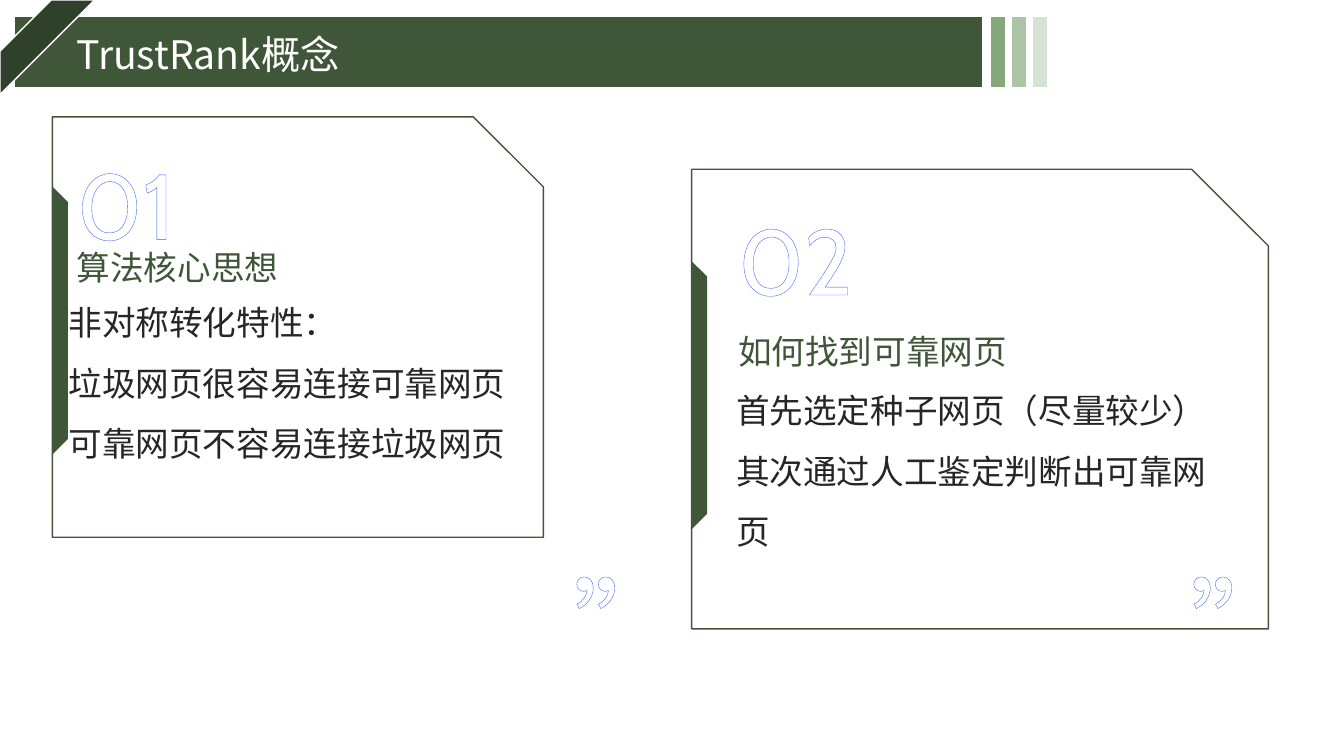
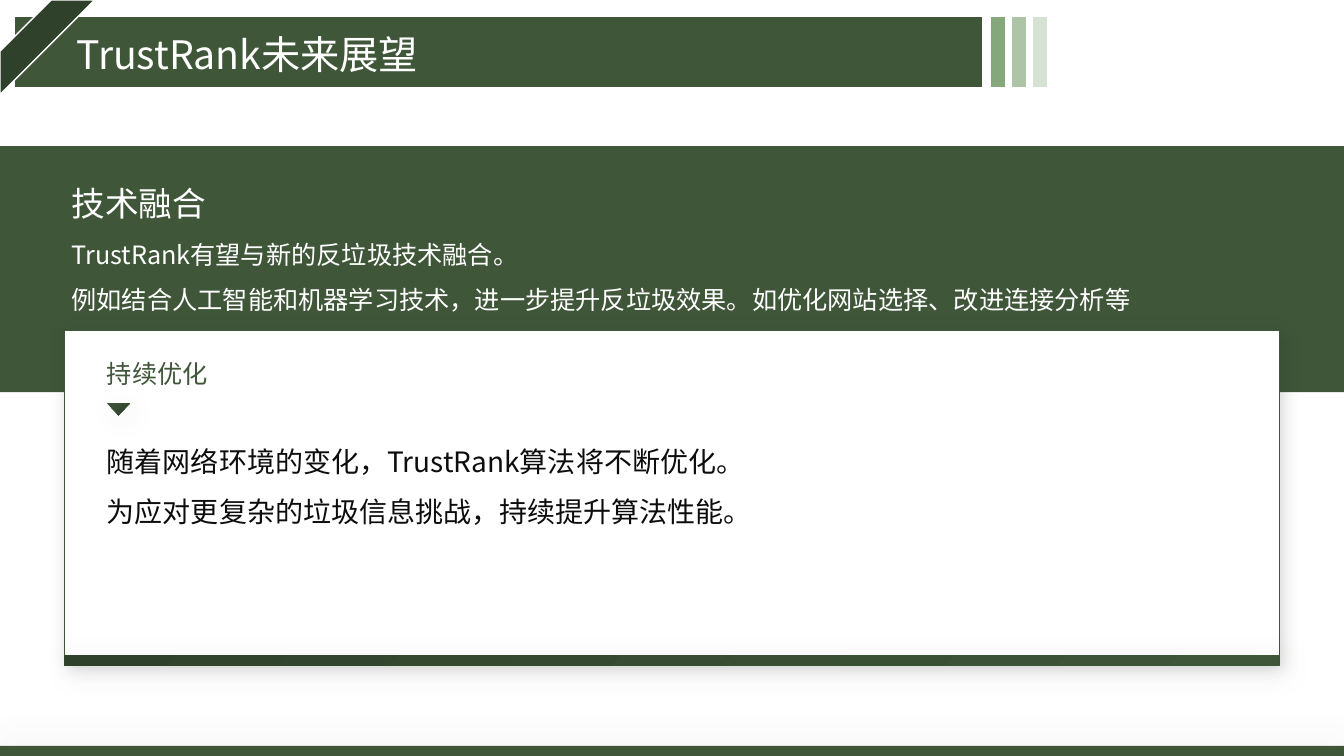
from dataclasses import dataclass

from lxml.etree import SubElement
from pptx import Presentation
from pptx.dml.color import RGBColor
from pptx.enum.shapes import MSO_SHAPE as Preset
from pptx.enum.text import MSO_ANCHOR as Anchor, PP_ALIGN as Align
from pptx.oxml.ns import qn
from pptx.util import Inches, Pt


@dataclass(frozen=True)
class Theme:
    font: str = "Noto Sans CJK SC"
    number_font: str = "Cabin"
    green: str = "3F5639"
    dark: str = "2F412B"
    tints: tuple = ("84A77B", "ADC4A7", "D6E2D3")
    white: str = "FFFFFF"
    ink: str = "262626"
    black: str = "0D0D0D"
    outline: str = "3860F4"
    title: int = 28
    heading: int = 24
    body: int = 20
    small: int = 18
    number: int = 66
    quote: int = 80


THEME = Theme()
PAGE_W, PAGE_H = 13.33, 7.5


@dataclass(frozen=True)
class Card:
    """Content of a card; offsets run from its top left corner."""
    box: tuple
    number: str
    heading: str
    lines: tuple
    text_x: float
    body_x: float
    body_w: float
    number_y: float
    heading_y: float
    body_y: float
    tab_y: float
    quote_at: tuple


CARDS = (
    Card((6.86, 1.68, 5.72, 4.56), "02", "如何找到可靠网页",
         ("首先选定种子网页（尽量较少）", "其次通过人工鉴定判断出可靠网页"),
         text_x=0.46, body_x=0.44, body_w=4.99, number_y=0.17, heading_y=1.26,
         body_y=1.99, tab_y=1.3, quote_at=(4.94, 3.47)),
    Card((0.52, 1.16, 4.87, 4.17), "01", "算法核心思想",
         ("非对称转化特性：", "垃圾网页很容易连接可靠网页", "可靠网页不容易连接垃圾网页"),
         text_x=0.24, body_x=0.16, body_w=4.71, number_y=0.14, heading_y=0.94,
         body_y=1.64, tab_y=1.08, quote_at=(5.16, 3.99)),
)


def rgb(color):
    return RGBColor.from_string(color)


def add_solid(page, preset, box, fill, line=None, weight=1):
    shape = page.shapes.add_shape(preset, *map(Inches, box))
    shape.shadow.inherit = False
    shape.fill.solid()
    shape.fill.fore_color.rgb = rgb(fill)
    if line:
        shape.line.color.rgb = rgb(line)
        shape.line.width = Pt(weight)
    else:
        shape.line.fill.background()
    return shape


def add_shadow(shape, color, alpha, blur, distance, angle):
    effects = shape._element.spPr.find(qn("a:effectLst"))
    shadow = SubElement(effects, qn("a:outerShdw"), blurRad=str(Pt(blur)),
                        dist=str(Pt(distance)), dir=str(angle * 60000),
                        algn="ctr", rotWithShape="0")
    tone = SubElement(shadow, qn("a:srgbClr"), val=color)
    SubElement(tone, qn("a:alpha"), val=str(alpha * 1000))


def add_gradient(page, preset, box):
    shape = add_solid(page, preset, box, THEME.green)
    shape.fill.gradient()
    shape.fill.gradient_angle = 135
    for stop, color in zip(shape.fill.gradient_stops, (THEME.green, THEME.dark)):
        stop.color.rgb = rgb(color)
    add_shadow(shape, "000000", 10, 20, 5, 45)
    return shape


def style_font(font, props, size, color, name):
    """Set a font, with props as the element that holds it."""
    font.size = Pt(size)
    font.color.rgb = rgb(color)
    font.name = name
    SubElement(props, qn("a:ea"), typeface=name)


def add_frame(page, box, anchor):
    frame = page.shapes.add_textbox(*map(Inches, box)).text_frame
    frame.word_wrap = True
    frame.vertical_anchor = anchor
    frame.margin_left = frame.margin_right = 0
    frame.margin_top = frame.margin_bottom = 0
    return frame


def add_text(page, box, lines, size, color, spacing=1.0, anchor=Anchor.TOP):
    frame = add_frame(page, box, anchor)
    for index, line in enumerate(lines):
        para = frame.add_paragraph() if index else frame.paragraphs[0]
        para.text = line
        para.line_spacing = spacing
        font = para.font
        font.size = Pt(size)
        props = para._p.pPr.find(qn("a:defRPr"))
        style_font(font, props, size, color, THEME.font)


def add_outlined(page, box, text, size, name, weight, anchor, align):
    para = add_frame(page, box, anchor).paragraphs[0]
    para.line_spacing = 1.3
    para.alignment = align
    span = para.add_run()
    span.text = text
    props = span._r.get_or_add_rPr()
    style_font(span.font, props, size, THEME.white, name)
    line = SubElement(props, qn("a:ln"), w=str(Pt(weight)))
    fill = SubElement(line, qn("a:solidFill"))
    SubElement(fill, qn("a:srgbClr"), val=THEME.outline)
    props.insert(0, line)


def add_title_band(page, title):
    top, height = 0.16, 0.71
    add_solid(page, Preset.RECTANGLE, (0.14, top, 9.61, height),
              THEME.green, THEME.white)
    add_text(page, (0.76, 0.28, 8.65, 0.47), [title], THEME.title,
             THEME.white, 1.1, Anchor.MIDDLE)
    corner = add_solid(page, Preset.DIAGONAL_STRIPE, (0, 0, 0.94, 0.94),
                       THEME.dark, THEME.white)
    corner.adjustments[0] = 0.54
    for index, tint in enumerate(THEME.tints):
        add_solid(page, Preset.RECTANGLE, (9.82 + 0.21 * index, top, 0.15, height),
                  tint, THEME.white)


def add_card(page, card):
    left, top, width, height = card.box
    add_solid(page, Preset.SNIP_1_RECTANGLE, card.box, THEME.white, THEME.green)

    # Side tab centred on the left edge
    side = 1.88
    tab = add_solid(page, Preset.DIAGONAL_STRIPE,
                    (left - side / 2, top + card.tab_y, side, side), THEME.green)
    tab.adjustments[0] = 0.884
    tab.rotation = 135

    # Closing quotation mark
    quote_x, quote_y = card.quote_at
    add_outlined(page, (left + quote_x, top + quote_y, 0.72, 1.14), "”",
                 THEME.quote, THEME.font, 1, Anchor.TOP, Align.CENTER)

    # Number, heading and body
    text_left = left + card.text_x
    add_text(page, (text_left, top + card.heading_y, 4.99, 0.97), [card.heading],
             THEME.heading, THEME.green, 1.3, Anchor.MIDDLE)
    add_text(page, (left + card.body_x, top + card.body_y, card.body_w,
                    height - card.body_y), card.lines, THEME.heading, THEME.ink, 1.5)
    add_outlined(page, (text_left, top + card.number_y, 1.39, 1.09), card.number,
                 THEME.number, THEME.number_font, 1.25, Anchor.MIDDLE, Align.LEFT)


def add_banner(page, box, heading, body):
    left, top, width, height = box
    add_solid(page, Preset.RECTANGLE, box, THEME.green)
    text_left, text_width = left + 0.71, width - 1.42
    add_text(page, (text_left, top + 0.36, text_width, 0.3), [heading],
             THEME.heading, THEME.white)
    add_text(page, (text_left, top + 0.77, text_width, 0.99), [body],
             THEME.small, THEME.white, 1.5)


def add_panel(page, box, heading, body):
    left, top, width, height = box
    panel = add_solid(page, Preset.RECTANGLE, box, THEME.white, THEME.green, 0.25)
    add_shadow(panel, "1F2B1C", 19, 12, 3, 45)
    text_left, text_width = left + 0.42, width - 0.85
    add_text(page, (text_left, top + 0.27, text_width, 0.3), [heading],
             THEME.small, THEME.green)
    add_text(page, (text_left, top + 0.96, text_width, 2.22), [body],
             THEME.body, THEME.black, 1.5)

    # Bottom bar and pointer under the heading
    add_gradient(page, Preset.RECTANGLE, (left, top + height - 0.1, width, 0.1))
    pointer = add_gradient(page, Preset.ISOSCELES_TRIANGLE,
                           (text_left, top + 0.72, 0.23, 0.12))
    pointer.rotation = 180


def add_footer(page):
    footer = add_solid(page, Preset.RECTANGLE, (0, PAGE_H - 0.1, PAGE_W, 0.1),
                       THEME.green)
    add_shadow(footer, THEME.green, 20, 25, 0, 0)


def build_concept(page):
    for card in CARDS:
        add_card(page, card)
    add_title_band(page, "TrustRank概念")


def build_outlook(page):
    add_footer(page)
    add_banner(page, (0, 1.45, PAGE_W, 2.44), "技术融合",
               "TrustRank有望与新的反垃圾技术融合。\n"
               "例如结合人工智能和机器学习技术，进一步提升反垃圾效果。"
               "如优化网站选择、改进连接分析等")
    add_panel(page, (0.64, 3.28, 12.05, 3.32), "持续优化",
              "随着网络环境的变化，TrustRank算法将不断优化。\n"
              "为应对更复杂的垃圾信息挑战，持续提升算法性能。")
    add_title_band(page, "TrustRank未来展望")


def main():
    deck = Presentation()
    deck.slide_width, deck.slide_height = Inches(PAGE_W), Inches(PAGE_H)
    blank = deck.slide_layouts[6]
    for build in (build_concept, build_outlook):
        build(deck.slides.add_slide(blank))
    deck.save("out.pptx")


if __name__ == "__main__":
    main()
